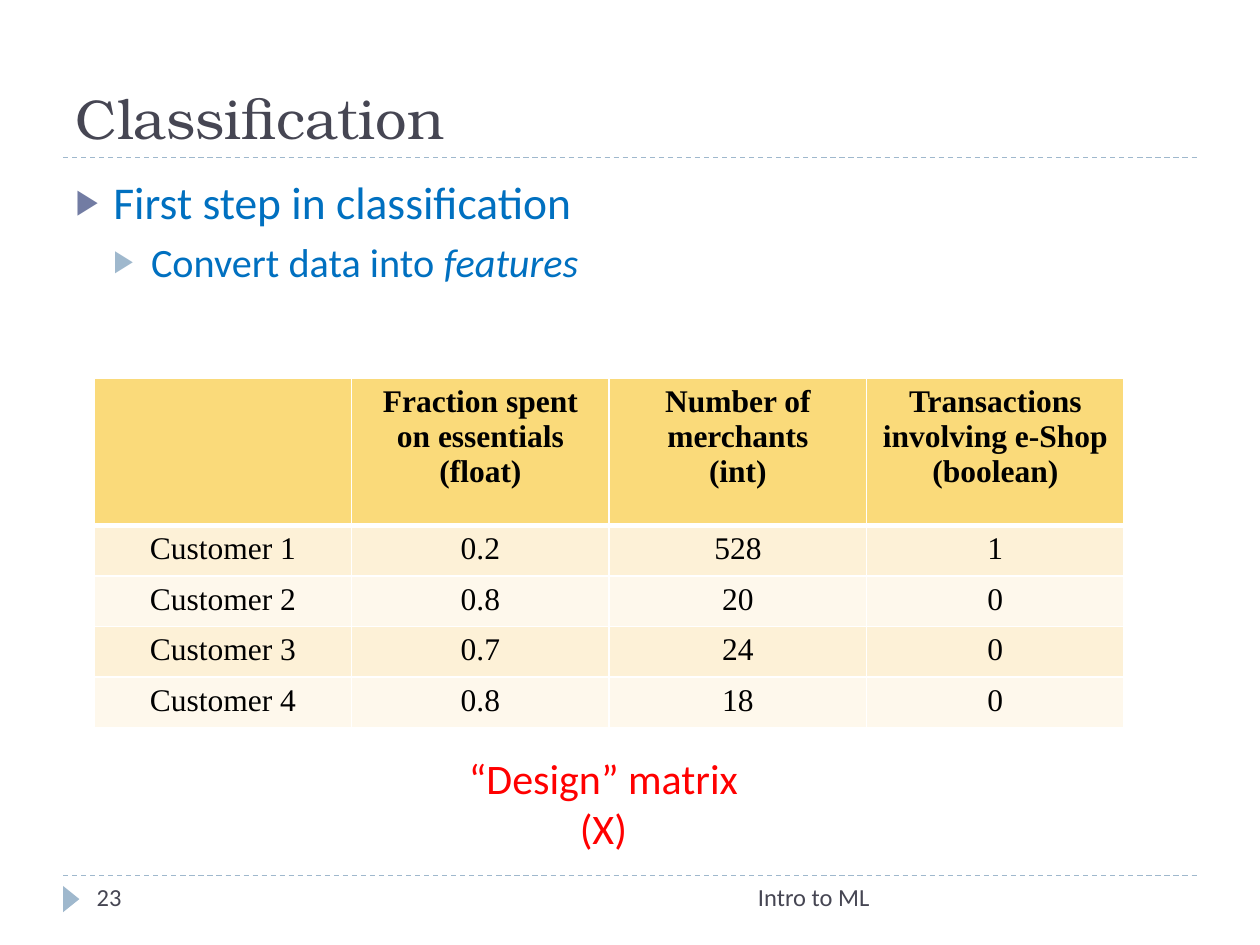
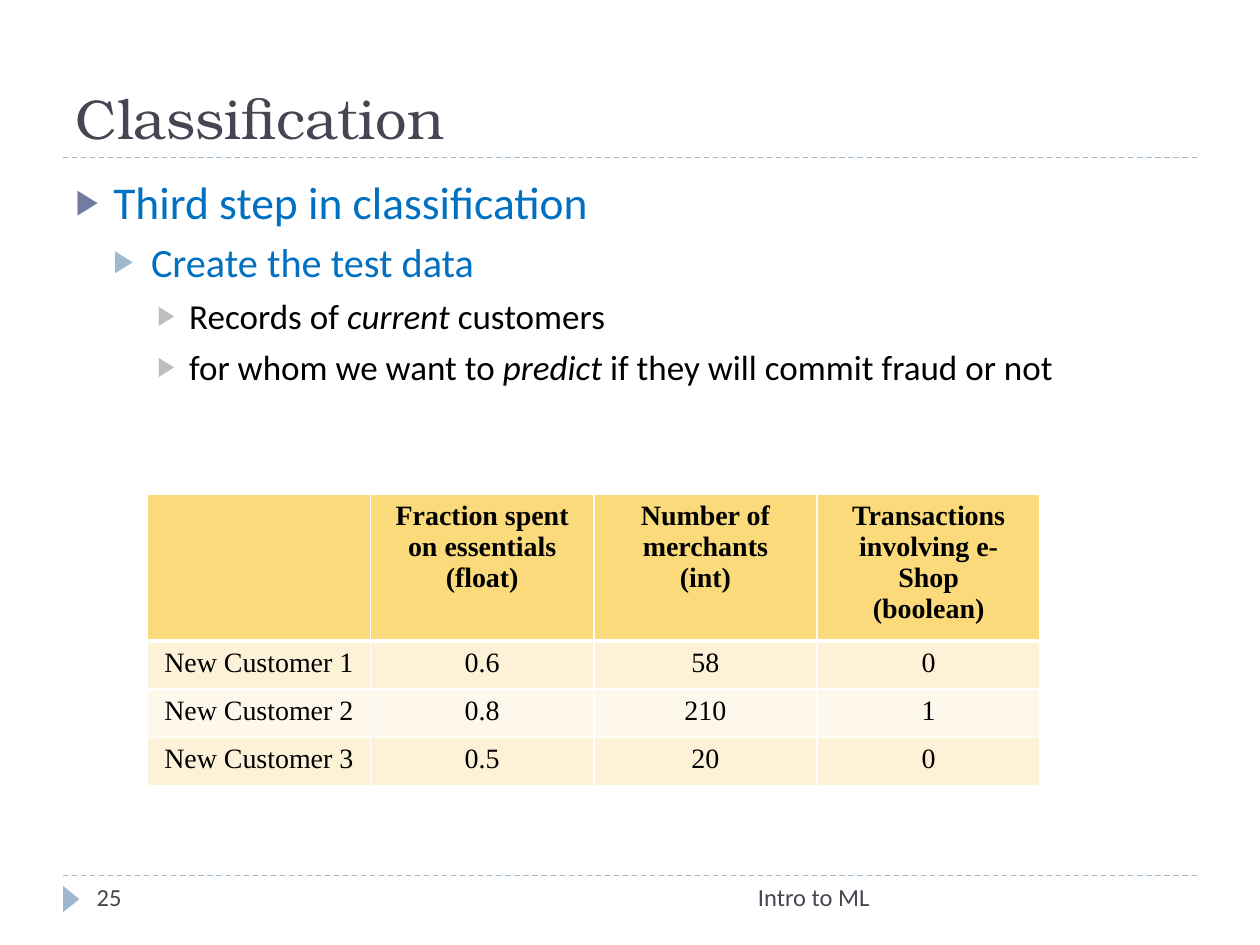
from dataclasses import dataclass

from lxml import etree
from pptx import Presentation
from pptx import util as u
from pptx.dml.color import RGBColor
from pptx.enum import dml, shapes, text
from pptx.oxml import ns

Cm, Pt = u.Cm, u.Pt


@dataclass(frozen=True)
class Theme:
    ink: str = "464653"
    blue: str = "0070C0"
    black: str = "000000"
    red: str = "FF0000"
    white: str = "FFFFFF"
    rule: str = "9FB8CD"
    header: str = "FADA7A"
    bands: tuple = ("FDF1D7", "FEF8EC")
    title_font: str = "TeX Gyre Bonum"
    body_font: str = "Calibri"
    table_font: str = "Times New Roman"
    title_size: int = 32
    caption_size: int = 24
    footer_size: int = 14


T = Theme()

# Bullet levels: size, text colour, bullet colour, indent, hanging, space before
LEVELS = [
    (26, T.blue, "727CA3", 0.76, 0.76, 6),
    (23, T.blue, T.rule, 1.52, 0.76, 5),
    (20, T.black, "BDBDBD", 2.29, 0.64, 5),
]

# Content: text between asterisks is italic
FOOTER = "Intro to ML"
HEADINGS = ["", "Fraction spent on essentials\n(float)",
            "Number of merchants\n(int)",
            "Transactions involving e-Shop\n(boolean)"]
SLIDES = [
    {
        "title": "Classification",
        "number": "23",
        "bullets": [(0, "First step in classification"),
                    (1, "Convert data into *features*")],
        "table": {"left": 1.9, "top": 7.62, "col": 5.19, "head": 2.97,
                  "row": 1.02, "size": 18},
        "rows": [("Customer 1", "0.2", "528", "1"),
                 ("Customer 2", "0.8", "20", "0"),
                 ("Customer 3", "0.7", "24", "0"),
                 ("Customer 4", "0.8", "18", "0")],
        "caption": "“Design” matrix (X)",
    },
    {
        "title": "Classification",
        "number": "25",
        "bullets": [(0, "Third step in classification"),
                    (1, "Create the test data"),
                    (2, "Records of *current* customers"),
                    (2, "for whom we want to *predict* if they will "
                        "commit fraud or not")],
        "table": {"left": 2.97, "top": 9.96, "col": 4.5, "head": 2.79,
                  "row": 0.97, "size": 16},
        "rows": [("New Customer 1", "0.6", "58", "0"),
                 ("New Customer 2", "0.8", "210", "1"),
                 ("New Customer 3", "0.5", "20", "0")],
    },
]

# Page frame
LEFT, WIDTH = 1.27, 22.86
TITLE_RULE, FOOTER_RULE = 3.18, 17.65


def rgb(value):
    return RGBColor.from_string(value)


def add_run(p, words, font, size, color, bold=False, italic=False):
    r = p.add_run()
    r.text = words
    r.font.name, r.font.size = font, Pt(size)
    r.font.color.rgb = rgb(color)
    r.font.bold, r.font.italic = bold, italic


def place(sp, left, top, width, height):
    sp.left, sp.top, sp.width, sp.height = map(Cm, (left, top, width, height))


def add_text(s, box, words, size, color, align=text.PP_ALIGN.LEFT):
    tf = s.shapes.add_textbox(*map(Cm, box)).text_frame
    tf.word_wrap = True
    p = tf.paragraphs[0]
    p.alignment = align
    add_run(p, words, T.body_font, size, color)


# Shared frame: rules, marker, footer and page number
def add_frame(s, number):
    for y in (TITLE_RULE, FOOTER_RULE):
        line = s.shapes.add_connector(shapes.MSO_CONNECTOR.STRAIGHT, Cm(LEFT),
                                      Cm(y), Cm(LEFT + WIDTH), Cm(y))
        line.line.color.rgb = rgb(T.rule)
        line.line.width = Pt(0.75)
        line.line.dash_style = dml.MSO_LINE.DASH
        etree.SubElement(line._element.spPr, ns.qn("a:effectLst"))
    marker = s.shapes.add_shape(shapes.MSO_SHAPE.ISOSCELES_TRIANGLE,
                                Cm(1.17), Cm(17.96), Cm(0.53), Cm(0.33))
    marker.rotation = 90
    marker.shadow.inherit = False
    marker.fill.solid()
    marker.fill.fore_color.rgb = rgb(T.rule)
    marker.line.fill.background()
    add_text(s, (8.05, FOOTER_RULE, 9.73, 1.02), FOOTER, T.footer_size,
             T.ink, text.PP_ALIGN.RIGHT)
    add_text(s, (1.7, FOOTER_RULE, 5.51, 1.02), number, T.footer_size, T.ink)


def add_title(s, words):
    sp = s.shapes.title
    place(sp, LEFT, 0.43, WIDTH, 2.74)
    tf = sp.text_frame
    tf.auto_size = text.MSO_AUTO_SIZE.NONE
    tf.vertical_anchor = text.MSO_ANCHOR.BOTTOM
    p = tf.paragraphs[0]
    p.alignment = text.PP_ALIGN.LEFT
    add_run(p, words, T.title_font, T.title_size, T.ink)


def add_bullets(s, bullets):
    sp = s.placeholders[1]
    place(sp, LEFT, 3.38, WIDTH, 13.72)
    tf = sp.text_frame
    tf.auto_size = text.MSO_AUTO_SIZE.NONE
    for i, (level, words) in enumerate(bullets):
        size, color, bullet_color, indent, hanging, before = LEVELS[level]
        p = tf.add_paragraph() if i else tf.paragraphs[0]
        p.level = level
        p.space_before = Pt(before if i else 0)
        pPr = p._p.get_or_add_pPr()
        pPr.set("marL", str(Cm(indent)))
        pPr.set("indent", str(-Cm(hanging)))
        clr = etree.SubElement(pPr, ns.qn("a:buClr"))
        etree.SubElement(clr, ns.qn("a:srgbClr"), val=bullet_color)
        etree.SubElement(pPr, ns.qn("a:buSzPct"), val="76000")
        etree.SubElement(pPr, ns.qn("a:buChar"), char="▶")
        for j, part in enumerate(words.split("*")):
            if part:
                add_run(p, part, T.body_font, size, color, italic=j % 2 == 1)


def set_borders(cell, bottom):
    tcPr = cell._tc.get_or_add_tcPr()
    for side, width in (("L", 1), ("R", 1), ("T", 1), ("B", bottom)):
        ln = etree.SubElement(tcPr, ns.qn("a:ln" + side), w=str(Pt(width)))
        fill = etree.SubElement(ln, ns.qn("a:solidFill"))
        etree.SubElement(fill, ns.qn("a:srgbClr"), val=T.white)


def add_data_table(s, rows, left, top, col, head, row, size):
    data = [HEADINGS, *rows]
    count = len(HEADINGS)
    table = s.shapes.add_table(len(data), count, Cm(left), Cm(top),
                               Cm(col * count),
                               Cm(head + row * len(rows))).table
    for column in table.columns:
        column.width = Cm(col)
    for i, values in enumerate(data):
        is_head = i == 0
        table.rows[i].height = Cm(head if is_head else row)
        for j, value in enumerate(values):
            cell = table.cell(i, j)
            # The rule under the headings is heavier and shared by both rows
            set_borders(cell, 3 if is_head else 1)
            if i == 1:
                cell._tc.tcPr.find(ns.qn("a:lnT")).set("w", str(Pt(3)))
            cell.fill.solid()
            cell.fill.fore_color.rgb = rgb(
                T.header if is_head else T.bands[(i - 1) % 2])
            p = cell.text_frame.paragraphs[0]
            p.alignment = text.PP_ALIGN.CENTER
            for k, part in enumerate(value.split("\n") if value else []):
                if k:
                    p.add_line_break()
                add_run(p, part, T.table_font, size, T.black, bold=is_head)


def main():
    prs = Presentation()
    prs.slide_width, prs.slide_height = Cm(25.4), Cm(19.05)
    for content in SLIDES:
        s = prs.slides.add_slide(prs.slide_layouts[1])
        add_frame(s, content["number"])
        add_title(s, content["title"])
        add_bullets(s, content["bullets"])
        add_data_table(s, content["rows"], **content["table"])
        if "caption" in content:
            add_text(s, (9.09, 15.04, 6.15, 2.31), content["caption"],
                     T.caption_size, T.red, text.PP_ALIGN.CENTER)
    prs.save("out.pptx")


if __name__ == "__main__":
    main()
